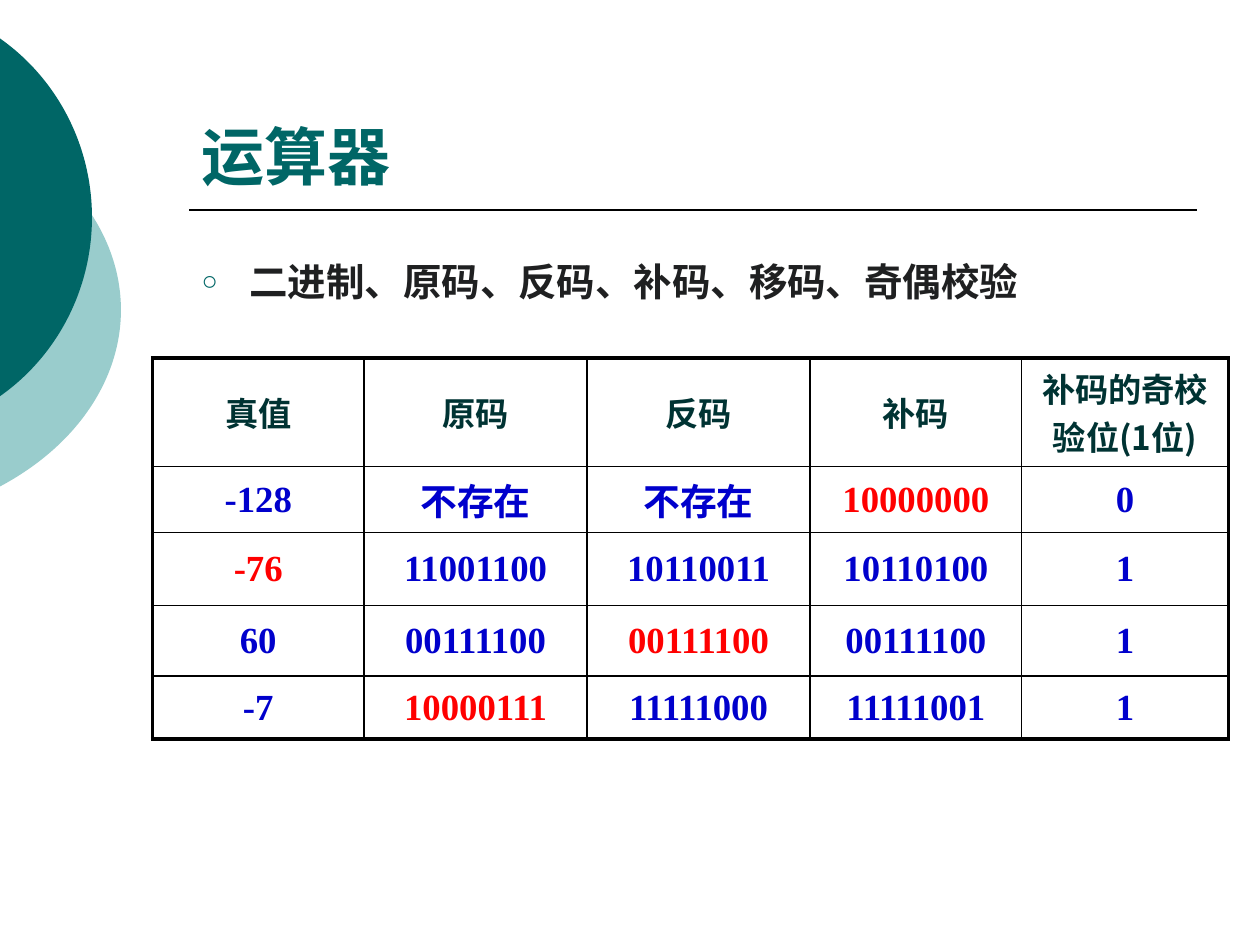
from lxml import etree
from pptx import Presentation
from pptx.dml.color import RGBColor
from pptx.enum.shapes import MSO_CONNECTOR, MSO_SHAPE
from pptx.enum.text import MSO_ANCHOR, MSO_AUTO_SIZE, PP_ALIGN
from pptx.oxml.ns import qn
from pptx.util import Inches, Pt

LEFT, CENTER = PP_ALIGN.LEFT, PP_ALIGN.CENTER
TOP, MIDDLE, BOTTOM = MSO_ANCHOR.TOP, MSO_ANCHOR.MIDDLE, MSO_ANCHOR.BOTTOM
NO_FIT = MSO_AUTO_SIZE.NONE
STRAIGHT = MSO_CONNECTOR.STRAIGHT
OVAL = MSO_SHAPE.OVAL

COLORS = {
    "teal": "006666", "pale": "99CCCC", "header": "003333", "body": "1F2021",
    "blue": "0000CC", "red": "FF0000", "black": "000000",
}
CJK_FONT = "Noto Sans CJK SC"
THICK, THIN = 2.25, 1

HEADERS = ["真值", "原码", "反码", "补码", "补码的奇校验位(1位)"]
CODES = [
    ["-128", "不存在", "不存在", "10000000", "0"],
    ["-76", "11001100", "10110011", "10110100", "1"],
    ["60", "00111100", "00111100", "00111100", "1"],
    ["-7", "10000111", "11111000", "11111001", "1"],
]
GIVEN_CELLS = {(1, 3), (2, 0), (3, 2), (4, 1)}
COLUMN_WIDTHS = [1.68, 1.77, 1.77, 1.68, 1.64]
ROW_HEIGHTS = [0.86, 0.52, 0.58, 0.56, 0.5]


def rgb(name):
    return RGBColor.from_string(COLORS[name])


def add_color(parent, tag, name):
    color = etree.SubElement(parent, qn(tag))
    etree.SubElement(color, qn("a:srgbClr"), val=COLORS[name])


def write(frame, text, size, color, font=CJK_FONT, align=LEFT):
    """Put one bold line of text in a text frame and return its paragraph."""
    para = frame.paragraphs[0]
    para.alignment = align
    span = para.add_run()
    span.text = text
    span.font.size = Pt(size)
    span.font.bold = True
    span.font.name = font
    span.font.color.rgb = rgb(color)
    etree.SubElement(span.font._element, qn("a:ea"), typeface=CJK_FONT)
    return para


class SlideBuilder:
    def __init__(self, deck):
        self.slide = deck.slides.add_slide(deck.slide_layouts[1])
        self.shapes = self.slide.shapes

    def place(self, index, left, top, width, height, anchor):
        """Move a template placeholder and return its text frame."""
        box = self.slide.placeholders[index]
        box.left, box.top = Inches(left), Inches(top)
        box.width, box.height = Inches(width), Inches(height)
        frame = box.text_frame
        frame.auto_size = NO_FIT
        frame.vertical_anchor = anchor
        return frame

    def title(self, text):
        frame = self.place(0, 1.5, 0.33, 8, 1.25, BOTTOM)
        write(frame, text, 36, "teal", font="Arial")

    def bullet(self, text):
        frame = self.place(1, 1.5, 2, 8, 5.09, TOP)
        para = write(frame, text, 22, "body")
        props = para._p.get_or_add_pPr()
        props.set("marL", str(Inches(0.38)))
        props.set("indent", str(-Inches(0.38)))
        add_color(props, "a:buClr", "teal")
        etree.SubElement(props, qn("a:buSzPct"), val="70000")
        etree.SubElement(props, qn("a:buFont"), typeface="Arial")
        etree.SubElement(props, qn("a:buChar"), char="○")

    def disc(self, left, top, width, height, color):
        disc = self.shapes.add_shape(
            OVAL, Inches(left), Inches(top), Inches(width), Inches(height))
        disc.shadow.inherit = False
        disc.fill.solid()
        disc.fill.fore_color.rgb = rgb(color)
        disc.line.fill.background()

    def rule(self, left, right, y):
        line = self.shapes.add_connector(
            STRAIGHT, Inches(left), Inches(y), Inches(right), Inches(y))
        line.line.color.rgb = rgb("black")
        line.line.width = Pt(1)
        etree.SubElement(line._element.spPr, qn("a:effectLst"))

    def borders(self, cell, outer_sides):
        """Frame a cell, with thick lines on the given sides."""
        props = cell._tc.get_or_add_tcPr()
        for position, side in enumerate("LRTB"):
            width = Pt(THICK if side in outer_sides else THIN)
            border = etree.Element(qn(f"a:ln{side}"), w=str(width))
            add_color(border, "a:solidFill", "black")
            props.insert(position, border)

    def table(self, rows, left, top):
        row_count, column_count = len(rows), len(COLUMN_WIDTHS)
        table = self.shapes.add_table(
            row_count, column_count, Inches(left), Inches(top),
            Inches(sum(COLUMN_WIDTHS)), Inches(sum(ROW_HEIGHTS))).table
        table.first_row = table.horz_banding = False
        for column, width in zip(table.columns, COLUMN_WIDTHS):
            column.width = Inches(width)
        for row, height in zip(table.rows, ROW_HEIGHTS):
            row.height = Inches(height)
        for r, texts in enumerate(rows):
            for c, text in enumerate(texts):
                cell = table.cell(r, c)
                cell.vertical_anchor = MIDDLE
                cell.fill.background()
                edges = {"T": r == 0, "B": r == row_count - 1,
                         "L": c == 0, "R": c == column_count - 1}
                self.borders(cell, [side for side in edges if edges[side]])
                if r == 0:
                    look = {"size": 19, "color": "header"}
                else:
                    color = "red" if (r, c) in GIVEN_CELLS else "blue"
                    look = {"size": 21, "color": color,
                            "font": "Times New Roman"}
                write(cell.text_frame, text, align=CENTER, **look)


def main():
    deck = Presentation()
    deck.slide_width, deck.slide_height = Inches(10), Inches(7.5)
    page = SlideBuilder(deck)
    page.disc(-3.54, 0.75, 4.5, 3.42, "pale")
    page.disc(-2.65, 0, 3.38, 3.45, "teal")
    page.rule(1.5, 9.5, 5 / 3)
    page.title("运算器")
    page.bullet("二进制、原码、反码、补码、移码、奇偶校验")
    page.table([HEADERS] + CODES, 1.21, 2.84)
    deck.save("out.pptx")


if __name__ == "__main__":
    main()
